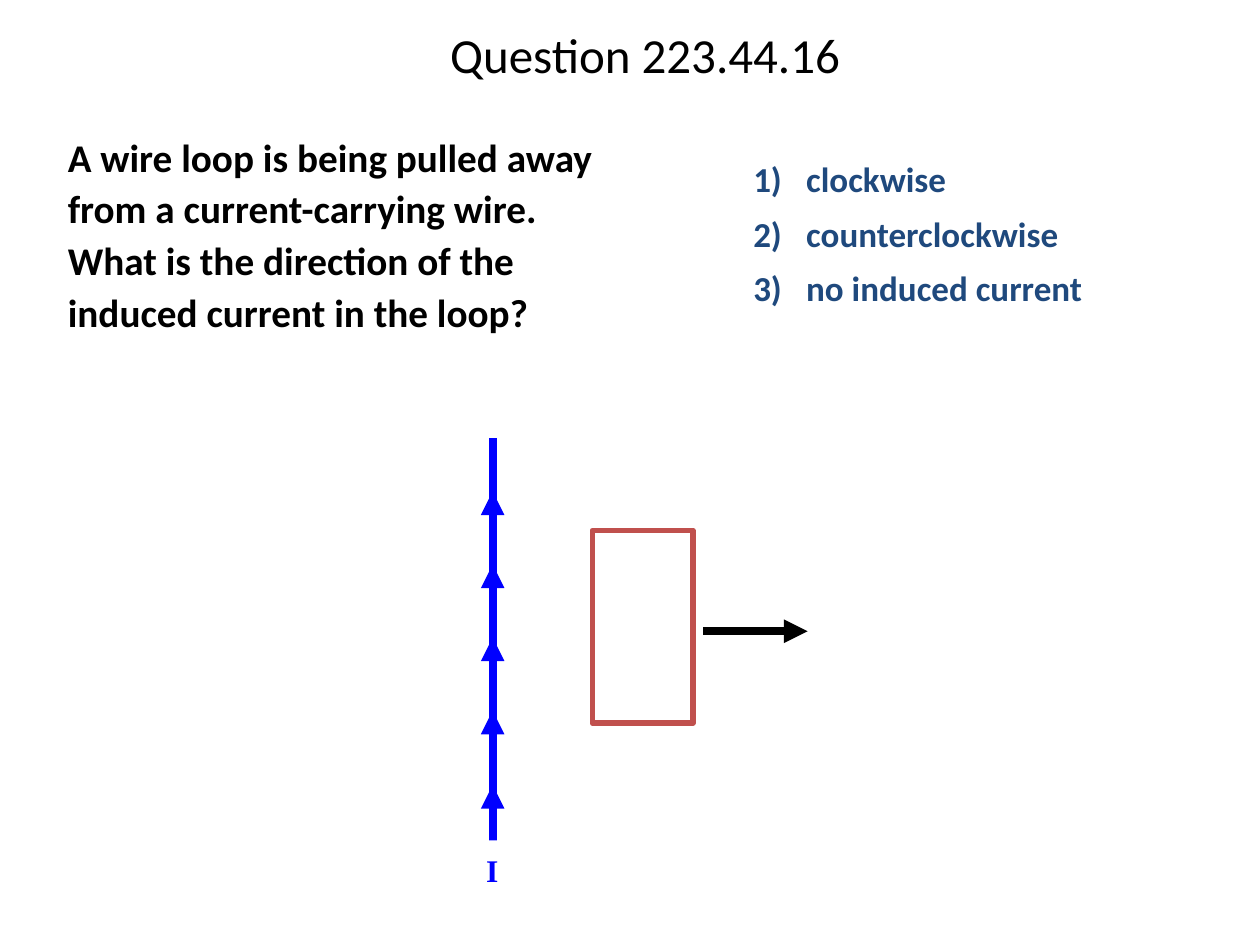
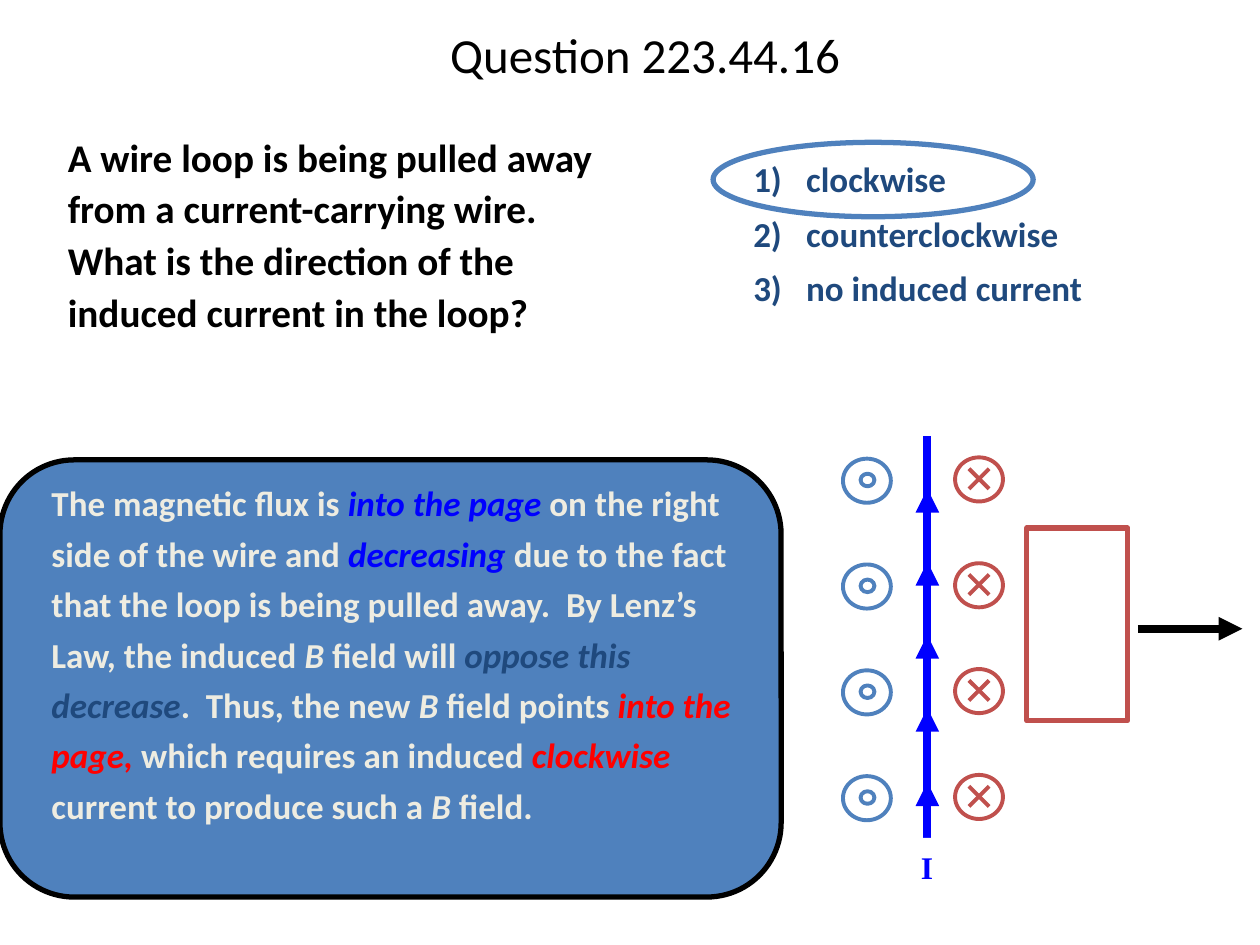
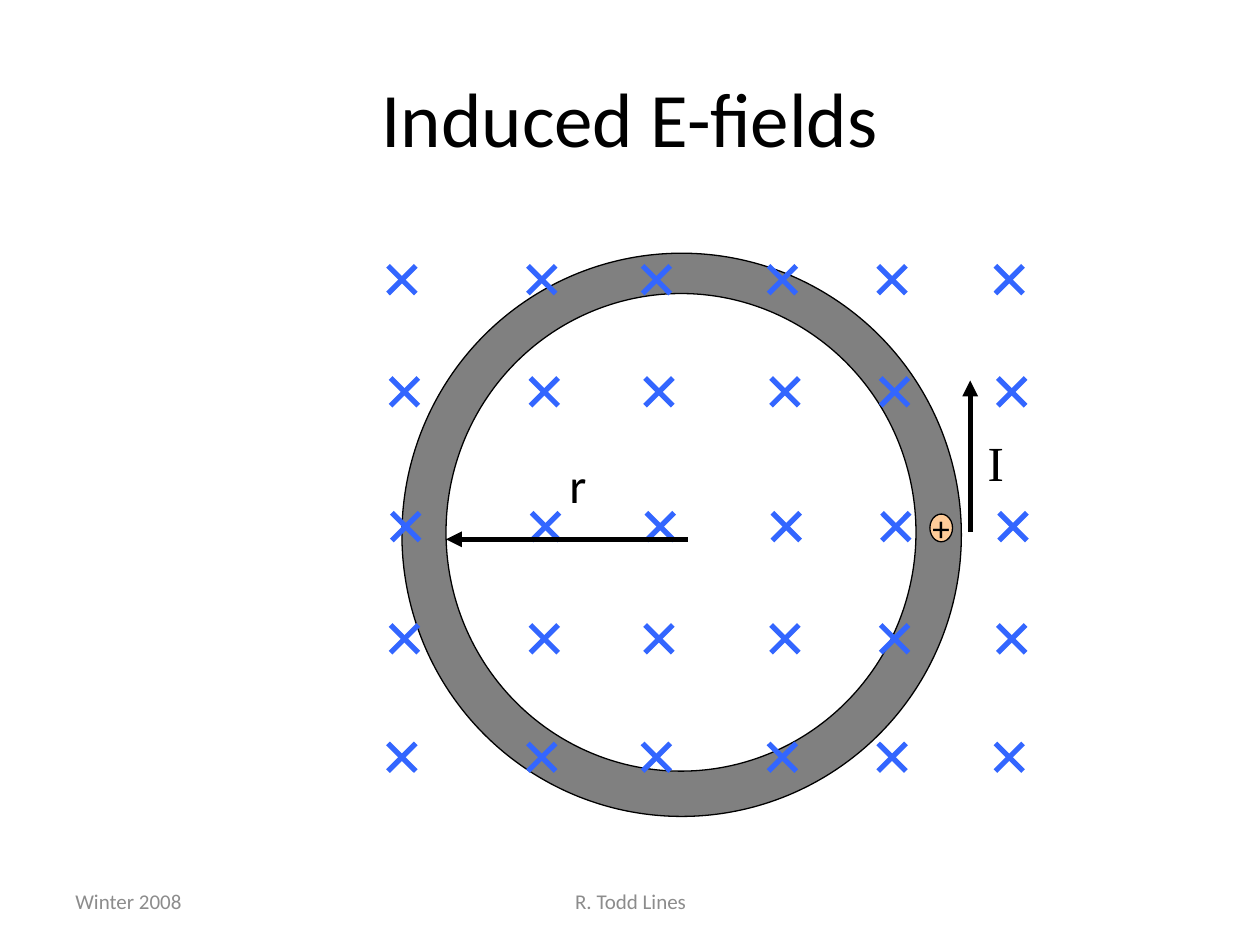
from dataclasses import dataclass
from typing import NamedTuple, Optional

from lxml.etree import SubElement
from pptx import Presentation
from pptx.dml.color import RGBColor
from pptx.enum.shapes import MSO_CONNECTOR as Connector, MSO_SHAPE as Preset
from pptx.enum.text import MSO_ANCHOR as Anchor, PP_ALIGN as Align
from pptx.oxml.ns import qn
from pptx.shapes.autoshape import Shape
from pptx.slide import Slide
from pptx.util import Emu, Pt

EMU_PER_PX = 9144  # 100 px to the inch


def px(length: int) -> Emu:
    return Emu(length * EMU_PER_PX)


# Theme: colours, fonts and type sizes
@dataclass(frozen=True)
class Theme:
    black: str = "000000"
    white: str = "FFFFFF"
    wire: str = "0000FF"
    accent: str = "4F81BD"
    loop: str = "C0504D"
    navy: str = "1F497D"
    cream: str = "EEECE1"
    red: str = "FF0000"
    ring: str = "808080"
    charge: str = "FFCC99"
    field: str = "3366FF"
    footer: str = "8C8C8C"
    sans: str = "Calibri"
    serif: str = "Times New Roman"
    heading_size: float = 44
    question_title_size: float = 28
    question_size: float = 22.4
    answer_size: float = 20
    symbol_size: float = 28
    current_size: float = 18
    footer_size: float = 12


THEME = Theme()


class Box(NamedTuple):
    left: int
    top: int
    width: int
    height: int


class Point(NamedTuple):
    x: int
    y: int


class Phrase(NamedTuple):
    text: str
    color: str = THEME.cream
    italic: bool = False


@dataclass(frozen=True)
class TextStyle:
    size: float
    color: str = THEME.black
    font: str = THEME.sans
    bold: bool = False
    align: Align = Align.LEFT
    anchor: Anchor = Anchor.TOP
    spacing: float = 1.0
    before: float = 0
    indent: int = 0
    hanging: int = 0
    wrap: bool = True


QUESTION_TITLE = TextStyle(THEME.question_title_size, align=Align.CENTER,
                           anchor=Anchor.MIDDLE, spacing=0.9)
HEADING = TextStyle(THEME.heading_size, align=Align.CENTER, anchor=Anchor.MIDDLE)
QUESTION = TextStyle(THEME.question_size, bold=True, spacing=1.1, indent=44)
ANSWER = TextStyle(THEME.answer_size, THEME.navy, bold=True, spacing=0.9,
                   before=9.5, indent=42, hanging=42)
EXPLANATION = TextStyle(THEME.answer_size, THEME.cream, bold=True, spacing=1.2, indent=31)
WIRE_CURRENT = TextStyle(THEME.current_size, THEME.wire, THEME.serif, bold=True,
                         spacing=1.11, wrap=False)
RING_CURRENT = TextStyle(THEME.symbol_size, font=THEME.serif, wrap=False)
RADIUS = TextStyle(THEME.symbol_size)
CHARGE = TextStyle(THEME.answer_size, align=Align.CENTER, anchor=Anchor.MIDDLE, wrap=False)
DATE = TextStyle(THEME.footer_size, THEME.footer, anchor=Anchor.MIDDLE)
AUTHOR = TextStyle(THEME.footer_size, THEME.footer, align=Align.CENTER, anchor=Anchor.MIDDLE)


# Drawing helpers
def write(shape: Shape, paragraphs: list[list[Phrase]], style: TextStyle) -> None:
    frame = shape.text_frame
    frame.word_wrap = style.wrap
    frame.vertical_anchor = style.anchor
    for index, phrases in enumerate(paragraphs):
        paragraph = frame.add_paragraph() if index else frame.paragraphs[0]
        paragraph.alignment = style.align
        paragraph.line_spacing = style.spacing
        if index:
            paragraph.space_before = Pt(style.before)
        properties = paragraph._p.get_or_add_pPr()
        properties.set("marL", str(px(style.indent)))
        properties.set("indent", str(px(-style.hanging)))
        for phrase in phrases:
            run = paragraph.add_run()
            run.text = phrase.text
            font = run.font
            font.name, font.size = style.font, Pt(style.size)
            font.bold, font.italic = style.bold, phrase.italic
            font.color.rgb = RGBColor.from_string(phrase.color)


def plain(style: TextStyle, *lines: str) -> list[list[Phrase]]:
    return [[Phrase(line, style.color)] for line in lines]


def add_text(slide: Slide, box: Box, style: TextStyle, *lines: str) -> Shape:
    text_box = slide.shapes.add_textbox(*map(px, box))
    write(text_box, plain(style, *lines), style)
    return text_box


def add_shape(slide: Slide, preset: Preset, box: Box, fill: Optional[str],
              line: Optional[str] = None, weight: float = 0.75) -> Shape:
    shape = slide.shapes.add_shape(preset, *map(px, box))
    shape.shadow.inherit = False
    if fill:
        shape.fill.solid()
        shape.fill.fore_color.rgb = RGBColor.from_string(fill)
    else:
        shape.fill.background()
    if line:
        shape.line.color.rgb = RGBColor.from_string(line)
        shape.line.width = Pt(weight)
    else:
        shape.line.fill.background()
    return shape


def add_line(slide: Slide, start: Point, end: Point, color: str,
             weight: float, arrow: bool = False) -> None:
    line = slide.shapes.add_connector(Connector.STRAIGHT, *map(px, start + end))
    line.line.color.rgb = RGBColor.from_string(color)
    line.line.width = Pt(weight)
    properties = line.element.spPr
    if arrow:
        SubElement(properties.find(qn("a:ln")), qn("a:tailEnd"), type="triangle")
    SubElement(properties, qn("a:effectLst"))


def add_cross(slide: Slide, left: int, top: int, size: int, color: str, weight: float) -> None:
    right, bottom = left + size, top + size
    add_line(slide, Point(left, top), Point(right, bottom), color, weight)
    add_line(slide, Point(right, top), Point(left, bottom), color, weight)


def add_oval(slide: Slide, center: Point, width: int, height: int, color: str) -> None:
    box = Box(center.x - width // 2, center.y - height // 2, width, height)
    add_shape(slide, Preset.OVAL, box, THEME.white, color, 2.25)


# Parts shared by the question slides
def add_question(slide: Slide) -> None:
    add_text(slide, Box(72, 0, 880, 92), QUESTION_TITLE, "Question 223.44.16")
    add_text(slide, Box(0, 97, 507, 189), QUESTION,
             "A wire loop is being pulled away from a current-carrying wire.  "
             "What is the direction of the induced current in the loop?")
    add_text(slide, Box(588, 124, 412, 134), ANSWER,
             "1)\tclockwise", "2)\tcounterclockwise", "3)\tno induced current")


def add_wire_and_loop(slide: Slide, wire_x: int, top: int) -> None:
    segment = 67
    for index in range(5):
        tip = top + 42 + index * 233 // 4
        add_line(slide, Point(wire_x, tip + segment), Point(wire_x, tip),
                 THEME.wire, 4.5, arrow=True)
    add_line(slide, Point(wire_x, top + segment), Point(wire_x, top), THEME.wire, 4.5)
    current = add_shape(slide, Preset.RECTANGLE, Box(wire_x - 15, top + 319, 33, 54), THEME.white)
    write(current, plain(WIRE_CURRENT, "I"), WIRE_CURRENT)
    add_shape(slide, Preset.RECTANGLE, Box(wire_x + 79, top + 73, 80, 153),
              THEME.white, THEME.loop, 3)
    pull_y = top + 153
    add_line(slide, Point(wire_x + 167, pull_y), Point(wire_x + 250, pull_y),
             THEME.black, 4.5, arrow=True)


def build_question(slide: Slide) -> None:
    add_question(slide)
    add_wire_and_loop(slide, 391, 348)


# Answer slide
EXPLANATION_PHRASES = [
    Phrase("The magnetic flux is "),
    Phrase("into the page", THEME.wire, True),
    Phrase(" on the right side of the wire and "),
    Phrase("decreasing", THEME.wire, True),
    Phrase(" due to the fact that the loop is being pulled away.  By Lenz’s Law, the induced "),
    Phrase("B", italic=True),
    Phrase(" field will "),
    Phrase("oppose this decrease", THEME.navy, True),
    Phrase(".  Thus, the new "),
    Phrase("B", italic=True),
    Phrase(" field points "),
    Phrase("into the page,", THEME.red, True),
    Phrase(" which requires an induced "),
    Phrase("clockwise", THEME.red, True),
    Phrase(" current to produce such a "),
    Phrase("B", italic=True),
    Phrase(" field."),
]


def build_answer(slide: Slide) -> None:
    panel = add_shape(slide, Preset.ROUNDED_RECTANGLE, Box(0, 365, 620, 347),
                      THEME.accent, THEME.black, 3)
    panel.adjustments[0] = 0.17
    explanation = slide.shapes.add_textbox(*map(px, Box(0, 371, 615, 330)))
    write(explanation, [EXPLANATION_PHRASES], EXPLANATION)
    add_shape(slide, Preset.OVAL, Box(566, 113, 254, 59), None, THEME.accent, 3)
    add_wire_and_loop(slide, 736, 346)

    # Field into the page right of the wire, out of it on the left
    for row in range(4):
        inward = Point(777, 380 + 84 * row)
        add_oval(slide, inward, 38, 35, THEME.loop)
        add_cross(slide, inward.x - 8, inward.y - 8, 16, THEME.loop, 2.25)
        outward = Point(688, 381 + 84 * row)
        add_oval(slide, outward, 38, 35, THEME.accent)
        add_oval(slide, outward, 11, 10, THEME.accent)
    add_question(slide)


# Induced field slide
class FieldRow(NamedTuple):
    top: int
    shift: int


FIELD_COLUMNS = (308, 419, 510, 610, 697, 790)
FIELD_ROWS = (FieldRow(211, 0), FieldRow(300, 2), FieldRow(407, 3),
              FieldRow(496, 2), FieldRow(590, 0))


def build_induced_field(slide: Slide) -> None:
    add_text(slide, Box(50, 695, 233, 40), DATE, "Winter 2008")
    add_text(slide, Box(342, 695, 317, 40), AUTHOR, "R. Todd Lines")
    add_text(slide, Box(50, 30, 900, 125), HEADING, "Induced E-fields")

    # Ring with its moving charge and current
    add_shape(slide, Preset.OVAL, Box(319, 201, 444, 447), THEME.ring, THEME.black)
    add_shape(slide, Preset.OVAL, Box(354, 233, 373, 379), THEME.white, THEME.black)
    charge = add_shape(slide, Preset.OVAL, Box(738, 408, 18, 22), THEME.charge, THEME.black)
    write(charge, plain(CHARGE, "+"), CHARGE)
    add_line(slide, Point(770, 422), Point(770, 302), THEME.black, 3, arrow=True)
    add_text(slide, Box(774, 338, 33, 57), RING_CURRENT, "I")

    # Field crosses and radius
    for row in FIELD_ROWS:
        for left in FIELD_COLUMNS:
            add_cross(slide, left + row.shift, row.top, 22, THEME.field, 3)
    add_line(slide, Point(546, 428), Point(354, 428), THEME.black, 3, arrow=True)
    add_text(slide, Box(442, 356, 44, 57), RADIUS, "r")


def main() -> None:
    deck = Presentation()
    deck.slide_width, deck.slide_height = px(1000), px(750)
    blank = deck.slide_layouts[6]
    for build in (build_question, build_answer, build_induced_field):
        build(deck.slides.add_slide(blank))
    deck.save("out.pptx")


if __name__ == "__main__":
    main()
